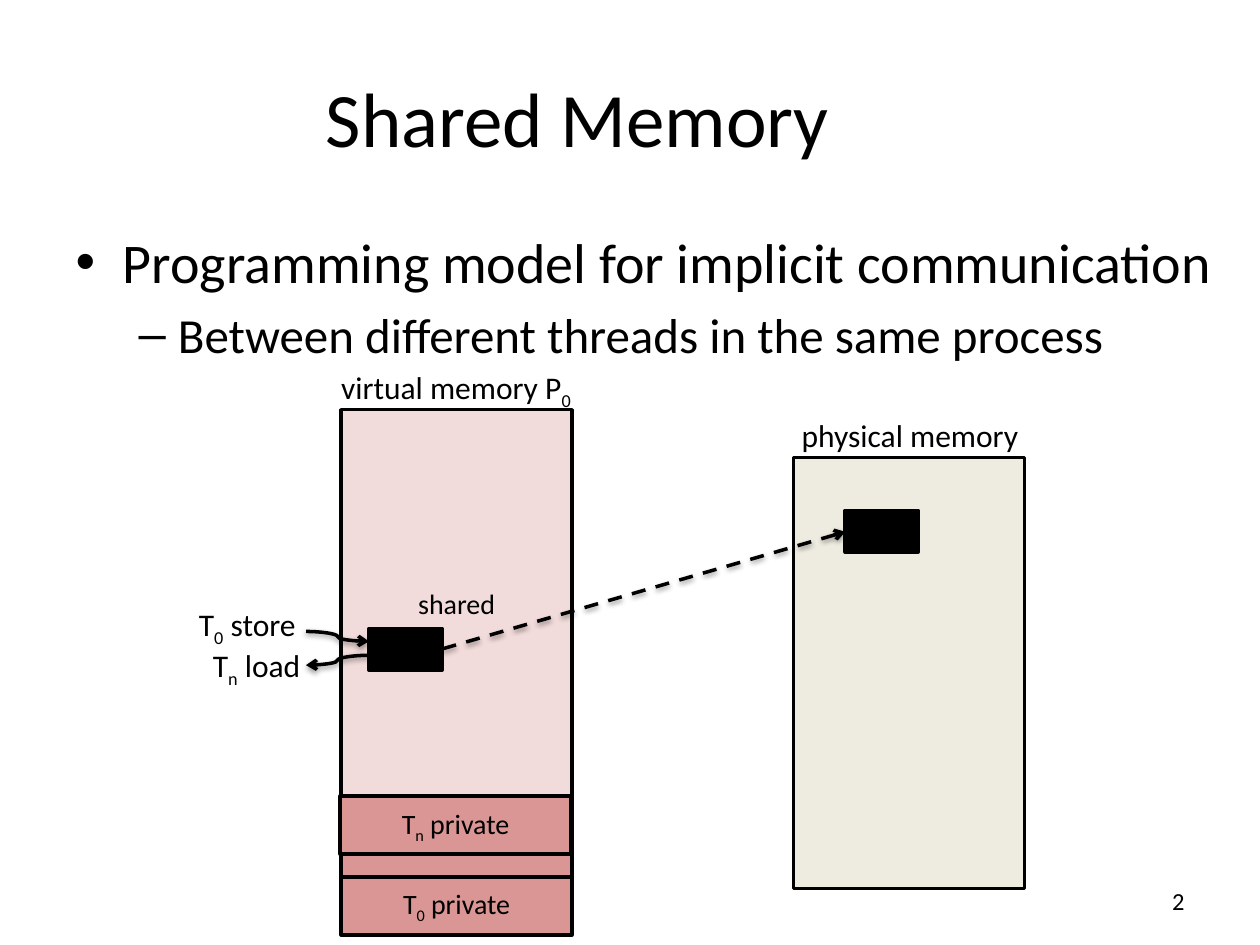
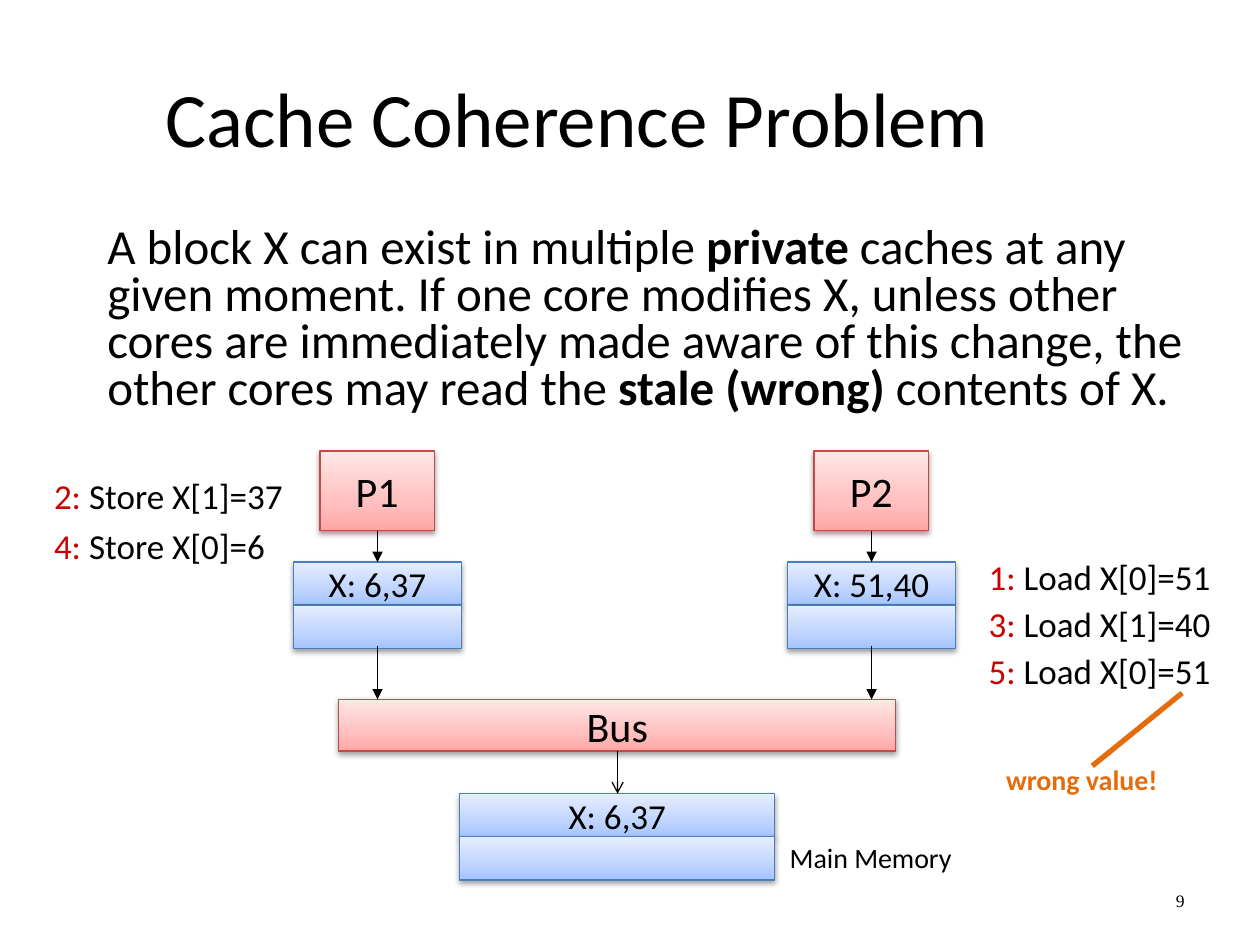
"""Build two lecture slides on shared memory and cache coherence."""
from lxml.etree import SubElement
from pptx import Presentation
from pptx.dml.color import RGBColor
from pptx.enum.dml import MSO_LINE
from pptx.enum.shapes import MSO_CONNECTOR as LINK, MSO_SHAPE as SHAPE
from pptx.enum.text import MSO_ANCHOR as ANCHOR, MSO_AUTO_SIZE as AUTO, PP_ALIGN as ALIGN
from pptx.oxml.ns import qn
from pptx.util import Cm, Pt

BLACK = RGBColor(0x00, 0x00, 0x00)
RED = RGBColor(0xCC, 0x00, 0x00)
ORANGE = RGBColor(0xE4, 0x6C, 0x0A)
PINK = RGBColor(0xF2, 0xDC, 0xDB)
ROSE = RGBColor(0xD9, 0x96, 0x94)
CREAM = RGBColor(0xEE, 0xEC, 0xE1)
BLUE_EDGE = RGBColor(0x4B, 0x7E, 0xBC)
RED_EDGE = RGBColor(0xBF, 0x4C, 0x48)
BLUE_STOPS = [RGBColor(0xA4, 0xC4, 0xFF), RGBColor(0xBF, 0xD4, 0xFF), RGBColor(0xE6, 0xEE, 0xFF)]
RED_STOPS = [RGBColor(0xFF, 0xA6, 0xA5), RGBColor(0xFF, 0xC0, 0xBF), RGBColor(0xFF, 0xE7, 0xE7)]


def write(box, text, size=18, color=BLACK, font="Calibri", bold=False, accent=None,
          align=ALIGN.LEFT, anchor=None, level=0, wrap=True, fit=AUTO.NONE):
    """Add a paragraph; every second piece between bars takes the accent."""
    frame = box.text_frame
    frame.word_wrap, frame.auto_size = wrap, fit
    if anchor is not None:
        frame.vertical_anchor = anchor
    if frame.text:
        para = frame.add_paragraph()
    else:
        para = frame.paragraphs[0]
        para.space_before = Pt(0)
    para.alignment, para.level = align, level
    for index, piece in enumerate(text.split("|")):
        if not piece:
            continue
        span = para.add_run()
        span.text = piece
        span.font.size, span.font.name = Pt(size), font
        span.font.bold, span.font.color.rgb = bold, color
        if index % 2 and accent == "sub":
            span.font._element.set("baseline", "-25000")
        elif index % 2 and accent == "bold":
            span.font.bold = True
        elif index % 2:
            span.font.color.rgb = accent
    return para


def set_shadow(shape, shown):
    """Give a shape a soft shadow below it, or none."""
    effects = SubElement(shape._element.spPr, qn("a:effectLst"))
    if shown:
        outer = SubElement(effects, qn("a:outerShdw"), blurRad="40000", dist="20000",
                           dir="5400000", rotWithShape="0")
        tone = SubElement(outer, qn("a:srgbClr"), val=str(BLACK))
        SubElement(tone, qn("a:alpha"), val="38000")


deck = Presentation()
deck.slide_width, deck.slide_height = Cm(25.4), Cm(19.05)

pages = []
for title, body_place, number, number_format in [
    ("Shared Memory", (1.27, 4.45, 23.5, 9.53), "2", {"size": 14}),
    ("Cache Coherence Problem", (1.91, 4.45, 23.09, 3.61), "9",
     {"size": 10, "font": "Times New Roman"}),
]:
    page = deck.slides.add_slide(deck.slide_layouts[1])
    heading, body = page.placeholders
    for box, place in [(heading, (1.27, 0.76, 20.75, 3.18)), (body, body_place)]:
        box.left, box.top, box.width, box.height = map(Cm, place)
    write(heading, title, size=44, align=ALIGN.CENTER, anchor=ANCHOR.MIDDLE)
    footer = page.shapes.add_textbox(Cm(21.16), Cm(17.65), Cm(2.97), Cm(1.02))
    write(footer, number, align=ALIGN.RIGHT, anchor=ANCHOR.MIDDLE, **number_format)
    pages.append(page)
sharing, coherence = pages

body = sharing.placeholders[1]
write(body, "Programming model for implicit communication", size=32)
write(body, "Between different threads in the same process", size=28, level=1)

para = write(
    coherence.placeholders[1],
    "A block X can exist in multiple |private| caches at any given moment. If one core "
    "modifies X, unless other cores are immediately made aware of this change, the other "
    "cores may read the |stale (wrong) |contents of X.", size=28, accent="bold")
para.line_spacing = 0.8
props = para._p.get_or_add_pPr()
props.set("marL", "0")
props.set("indent", "0")
SubElement(props, qn("a:buNone"))

for kind, left, top, width, height, color, text in [
    (SHAPE.RECTANGLE, 6.88, 8.26, 4.65, 7.82, PINK, "shared"),
    (SHAPE.RECTANGLE, 16, 9.22, 4.65, 8.69, CREAM, ""),
    (SHAPE.FLOWCHART_PROCESS, 7.44, 12.67, 1.47, 0.84, BLACK, ""),
    (SHAPE.FLOWCHART_PROCESS, 17.04, 10.29, 1.47, 0.84, BLACK, ""),
    (SHAPE.RECTANGLE, 6.88, 16.08, 4.65, 2.74, ROSE, ""),
    (SHAPE.RECTANGLE, 6.88, 17.68, 4.65, 1.17, ROSE, "T|0| private"),
    (SHAPE.RECTANGLE, 6.86, 16.05, 4.65, 1.17, ROSE, "T|n| private"),
]:
    region = sharing.shapes.add_shape(kind, Cm(left), Cm(top), Cm(width), Cm(height))
    region.fill.solid()
    region.fill.fore_color.rgb = color
    region.line.color.rgb, region.line.width = BLACK, Pt(2)
    set_shadow(region, False)
    if text:
        write(region, text, size=16, accent="sub", align=ALIGN.CENTER, anchor=ANCHOR.MIDDLE)

units = [(6.83, 14.1, 11.23, 1.04, RED_STOPS, RED_EDGE, "Bus", 24)]
links = [
    (sharing, LINK.STRAIGHT, (8.92, 13.08, 17.04, 10.72), BLACK, 2, "arrow", True),
    (sharing, LINK.CURVE, (7.44, 13.21, 6.17, 13.41), BLACK, 2, "arrow", False),
    (sharing, LINK.CURVE, (6.17, 12.73, 7.44, 12.93), BLACK, 2, "arrow", False),
    (coherence, LINK.STRAIGHT, (12.45, 15.14, 12.45, 16), BLACK, 0.75, "arrow", False),
    (coherence, LINK.STRAIGHT, (22.02, 15.44, 23.83, 13.97), ORANGE, 3, None, False),
]
for core, center in [("P1", 7.61), ("P2", 17.57)]:
    units.append((center - 1.16, 9.09, 2.31, 1.6, RED_STOPS, RED_EDGE, core, 24))
    for start, end in [(10.7, 11.33), (13.03, 14.1)]:
        links.append((coherence, LINK.STRAIGHT, (center, start, center, end),
                      BLACK, 1, "triangle", False))
for left, top, width, text in [
    (5.92, 11.33, 3.38, "X: 6,37"),
    (15.88, 11.33, 3.38, "X: 51,40"),
    (9.27, 16, 6.35, "X: 6,37"),
]:
    for row, content in enumerate([text, ""]):
        units.append((left, top + 0.87 * row, width, 0.87, BLUE_STOPS, BLUE_EDGE, content, 20))

for left, top, width, height, stops, edge, text, size in units:
    unit = coherence.shapes.add_shape(SHAPE.RECTANGLE, Cm(left), Cm(top), Cm(width), Cm(height))
    unit.fill.gradient()
    unit.fill.gradient_angle = 90
    stop_list = unit._element.spPr.find(qn("a:gradFill")).find(qn("a:gsLst"))
    for old_stop in list(stop_list):
        stop_list.remove(old_stop)
    for position, color in zip((0, 35000, 100000), stops):
        stop = SubElement(stop_list, qn("a:gs"), pos=str(position))
        SubElement(stop, qn("a:srgbClr"), val=str(color))
    unit.line.color.rgb, unit.line.width = edge, Pt(0.75)
    set_shadow(unit, True)
    if text:
        write(unit, text, size=size, align=ALIGN.CENTER, anchor=ANCHOR.MIDDLE, wrap=False)

for page, kind, ends, color, weight, head, dashed in links:
    link = page.shapes.add_connector(kind, *map(Cm, ends))
    link.line.color.rgb, link.line.width = color, Pt(weight)
    if dashed:
        link.line.dash_style = MSO_LINE.DASH
    if head:
        SubElement(link._element.spPr.find(qn("a:ln")), qn("a:tailEnd"), type=head)
    set_shadow(link, page is sharing)

labels = [
    (sharing, 3.76, 12.07, 2.51, 1.02, "T|0| store", {"accent": "sub"}),
    (sharing, 4.04, 12.9, 2.29, 1.02, "T|n| load", {"accent": "sub"}),
    (sharing, 15.88, 8.26, 4.93, 1.02, "physical memory", {"align": ALIGN.CENTER}),
    (sharing, 6.53, 7.29, 5.33, 1.02, "virtual memory P|0",
     {"accent": "sub", "align": ALIGN.CENTER}),
    (coherence, 15.67, 16.81, 3.81, 0.94, "Main Memory", {"size": 16}),
    (coherence, 18.42, 14.94, 6.78, 1.55, "wrong value!",
     {"size": 16, "color": ORANGE, "bold": True, "align": ALIGN.CENTER,
      "anchor": ANCHOR.MIDDLE, "fit": AUTO.NONE}),
]
step_format = {"size": 20, "accent": RED}
for row, text in enumerate(["|1: |Load X[0]=51", "|3: |Load X[1]=40", "|5: |Load X[0]=51"]):
    labels.append((coherence, 19.68, 11.07 + 0.95 * row, 5.03, 1.12, text, step_format))
for row, (text, width) in enumerate([("|2: |Store X[1]=37", 5.16), ("|4: |Store X[0]=6", 4.8)]):
    labels.append((coherence, 0.84, 9.45 + row, width, 1.12, text, step_format))

for page, left, top, width, height, text, text_format in labels:
    label = page.shapes.add_textbox(Cm(left), Cm(top), Cm(width), Cm(height))
    write(label, text, **{"wrap": False, "fit": AUTO.SHAPE_TO_FIT_TEXT, **text_format})

deck.save("out.pptx")
